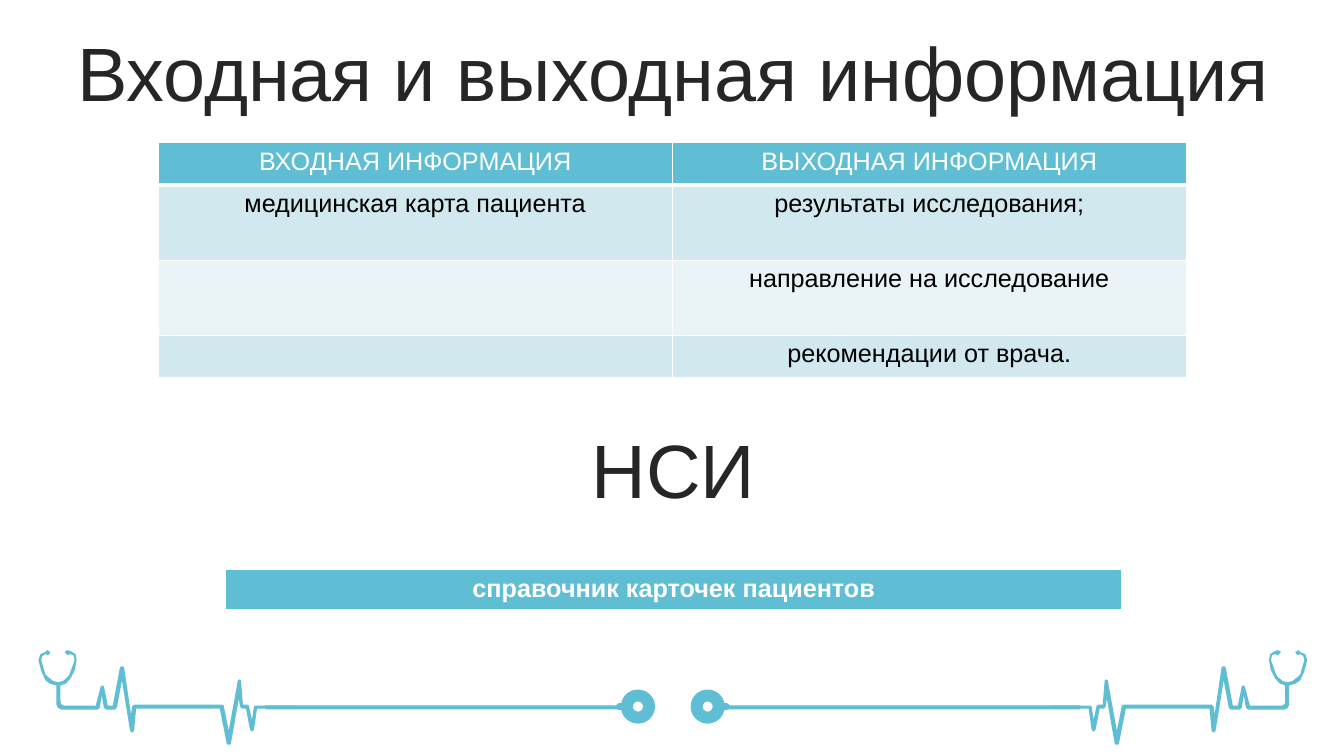
from dataclasses import dataclass

from lxml import etree
from pptx import Presentation
from pptx.dml.color import RGBColor
from pptx.enum.shapes import MSO_SHAPE
from pptx.enum.text import MSO_ANCHOR, PP_ALIGN
from pptx.oxml.ns import qn
from pptx.util import Pt

CENTER = PP_ALIGN.CENTER
MIDDLE = MSO_ANCHOR.MIDDLE
RECTANGLE = MSO_SHAPE.RECTANGLE
ROUNDED = MSO_SHAPE.ROUNDED_RECTANGLE
OVAL = MSO_SHAPE.OVAL


@dataclass(frozen=True)
class Theme:
    font: str = "Arial"
    accent: str = "60BED4"
    dark_band: str = "D2E8EF"
    light_band: str = "EAF4F7"
    white: str = "FFFFFF"
    black: str = "000000"
    heading: str = "262626"
    heading_size: float = 54
    table_size: float = 18
    border: float = 1
    header_border: float = 3
    ring: float = 8.57


@dataclass(frozen=True)
class Heading:
    text: str
    top: float


@dataclass(frozen=True)
class Row:
    texts: tuple[str, ...]
    height: float
    fill: str
    color: str
    bottom: float
    bold: bool = False


@dataclass(frozen=True)
class Grid:
    left: float
    top: float
    column_width: float
    rows: tuple[Row, ...]


@dataclass(frozen=True)
class Part:
    kind: int
    left: float
    top: float
    width: float
    height: float


THEME = Theme()
MIRROR_SUM = 961.2

HEADINGS = (
    Heading("Входная и выходная информация", 26.6),
    Heading("НСИ", 310.3),
)

INFORMATION = Grid(113, 101.5, 367.2, (
    Row(("ВХОДНАЯ ИНФОРМАЦИЯ", "ВЫХОДНАЯ ИНФОРМАЦИЯ"), 30.7,
        THEME.accent, THEME.white, THEME.header_border),
    Row(("медицинская карта пациента", "результаты исследования;"), 53.6,
        THEME.dark_band, THEME.black, THEME.border),
    Row(("", "направление на исследование"), 53.6,
        THEME.light_band, THEME.black, THEME.border),
    Row(("", "рекомендации от врача."), 30.7,
        THEME.dark_band, THEME.black, THEME.border),
))
DIRECTORY = Grid(161.3, 406.8, 640, (
    Row(("справочник карточек пациентов",), 29.2,
        THEME.accent, THEME.white, THEME.header_border, True),
))

PULSE = (
    (27.4, 471.6), (28.8, 467.3), (32.4, 465.8), (33.8, 464.4), (36, 465.8),
    (34.6, 468), (32.4, 467.3), (30.2, 468.7), (29.5, 471.6), (32.4, 481.7),
    (34.6, 483.8), (38, 486.5), (41.8, 487.4), (45, 486.5), (48.2, 483.8),
    (49.7, 481.7), (53.3, 471.6), (52.6, 468), (50.4, 467.3), (48.2, 468),
    (46.1, 465.8), (48.2, 464.4), (50.4, 465.1), (54, 467.3), (54.7, 471.6),
    (53.5, 478.5), (50.4, 484.6), (47, 488.3), (43.2, 489.6), (43.2, 500.4),
    (43.6, 503), (45.4, 504), (68.4, 504), (72, 490.3), (73, 489.6),
    (74.2, 490.3), (77, 504), (80.6, 504), (85.7, 476.6), (87.1, 475.9),
    (88.6, 476.6), (93.6, 510.5), (94.3, 504.7), (95.8, 503.3), (158.4, 503.3),
    (159.8, 504), (163.4, 522), (169.9, 486), (171, 485.3), (172.1, 486),
    (173.5, 503.3), (176.4, 503.3), (177.8, 504), (180, 514.1), (181.4, 504.7),
    (182.9, 504), (211, 504), (211, 506.2), (183.6, 506.2), (181.4, 521.3),
    (180, 522.7), (178.6, 521.3), (175.7, 506.2), (172.8, 506.2),
    (171.4, 504.7), (170.6, 499), (164.9, 531.4), (163.4, 532.1), (162, 531.4),
    (157, 506.2), (97.2, 506.2), (95.8, 522), (94.3, 523.4), (92.9, 522),
    (87.1, 486), (83.5, 505.4), (82.1, 506.9), (75.6, 506.9), (74.2, 505.4),
    (72.7, 496.8), (71.3, 505.4), (69.8, 506.9), (43.9, 506.9), (41.3, 505.7),
    (40.3, 503.3), (40.3, 489.6), (36, 488.5), (32.4, 486), (29.5, 479.5),
)
TUBE = (
    Part(OVAL, 447.8, 496.8, 15.8, 15.8),
    Part(ROUNDED, 440, 502.2, 7.9, 5),
    Part(RECTANGLE, 189.4, 503.8, 256.3, 2.9),
)


def rgb(color: str) -> RGBColor:
    return RGBColor.from_string(color)


def style_paragraph(paragraph, text: str, size: float, color: str, bold: bool = False) -> None:
    paragraph.text = text
    paragraph.alignment = CENTER
    paragraph.font.name = THEME.font
    paragraph.font.size = Pt(size)
    paragraph.font.bold = bold
    paragraph.font.color.rgb = rgb(color)


def paint(shape) -> None:
    shape.shadow.inherit = False
    shape.fill.solid()
    shape.fill.fore_color.rgb = rgb(THEME.accent)
    shape.line.fill.background()


def draw_stethoscope(slide, mirrored: bool) -> None:
    outline = [(Pt(MIRROR_SUM - x if mirrored else x), Pt(y)) for x, y in PULSE]
    builder = slide.shapes.build_freeform(*outline[0])
    builder.add_line_segments(outline[1:], close=True)
    paint(builder.convert_to_shape())
    for part in TUBE:
        left = MIRROR_SUM - part.left - part.width if mirrored else part.left
        shape = slide.shapes.add_shape(
            part.kind, Pt(left), Pt(part.top), Pt(part.width), Pt(part.height))
        paint(shape)
        if part.kind == OVAL:
            shape.fill.background()
            shape.line.color.rgb = rgb(THEME.accent)
            shape.line.width = Pt(THEME.ring)
        elif part.kind == ROUNDED:
            shape.adjustments[0] = 0.5


def draw_heading(slide, heading: Heading) -> None:
    box = slide.shapes.add_textbox(Pt(25.2), Pt(heading.top), Pt(911.5), Pt(56.9))
    frame = box.text_frame
    frame.word_wrap = True
    frame.vertical_anchor = MIDDLE
    paragraph = frame.paragraphs[0]
    style_paragraph(paragraph, heading.text, THEME.heading_size, THEME.heading)
    paragraph.line_spacing = 0.9
    paragraph.space_before = Pt(10)


def set_borders(cell, top: float, bottom: float) -> None:
    properties = cell._tc.get_or_add_tcPr()
    widths = {"a:lnL": THEME.border, "a:lnR": THEME.border, "a:lnT": top, "a:lnB": bottom}
    for position, (tag, width) in enumerate(widths.items()):
        line = etree.Element(qn(tag), w=str(Pt(width)))
        fill = etree.SubElement(line, qn("a:solidFill"))
        etree.SubElement(fill, qn("a:srgbClr"), val=THEME.white)
        properties.insert(position, line)


def draw_grid(slide, grid: Grid) -> None:
    columns = len(grid.rows[0].texts)
    table = slide.shapes.add_table(
        len(grid.rows), columns, Pt(grid.left), Pt(grid.top),
        Pt(grid.column_width * columns), Pt(sum(row.height for row in grid.rows))).table
    table.first_row = False
    table.horz_banding = False
    top = THEME.border
    for index, row in enumerate(grid.rows):
        table.rows[index].height = Pt(row.height)
        for column, text in enumerate(row.texts):
            cell = table.cell(index, column)
            cell.fill.solid()
            cell.fill.fore_color.rgb = rgb(row.fill)
            style_paragraph(cell.text_frame.paragraphs[0], text,
                            THEME.table_size, row.color, row.bold)
            set_borders(cell, top, row.bottom)
        top = row.bottom


def main() -> None:
    presentation = Presentation()
    presentation.slide_width = Pt(960)
    presentation.slide_height = Pt(540)
    slide = presentation.slides.add_slide(presentation.slide_layouts[6])
    for mirrored in (True, False):
        draw_stethoscope(slide, mirrored)
    for heading, grid in zip(HEADINGS, (INFORMATION, DIRECTORY)):
        draw_heading(slide, heading)
        draw_grid(slide, grid)
    presentation.save("out.pptx")


if __name__ == "__main__":
    main()
